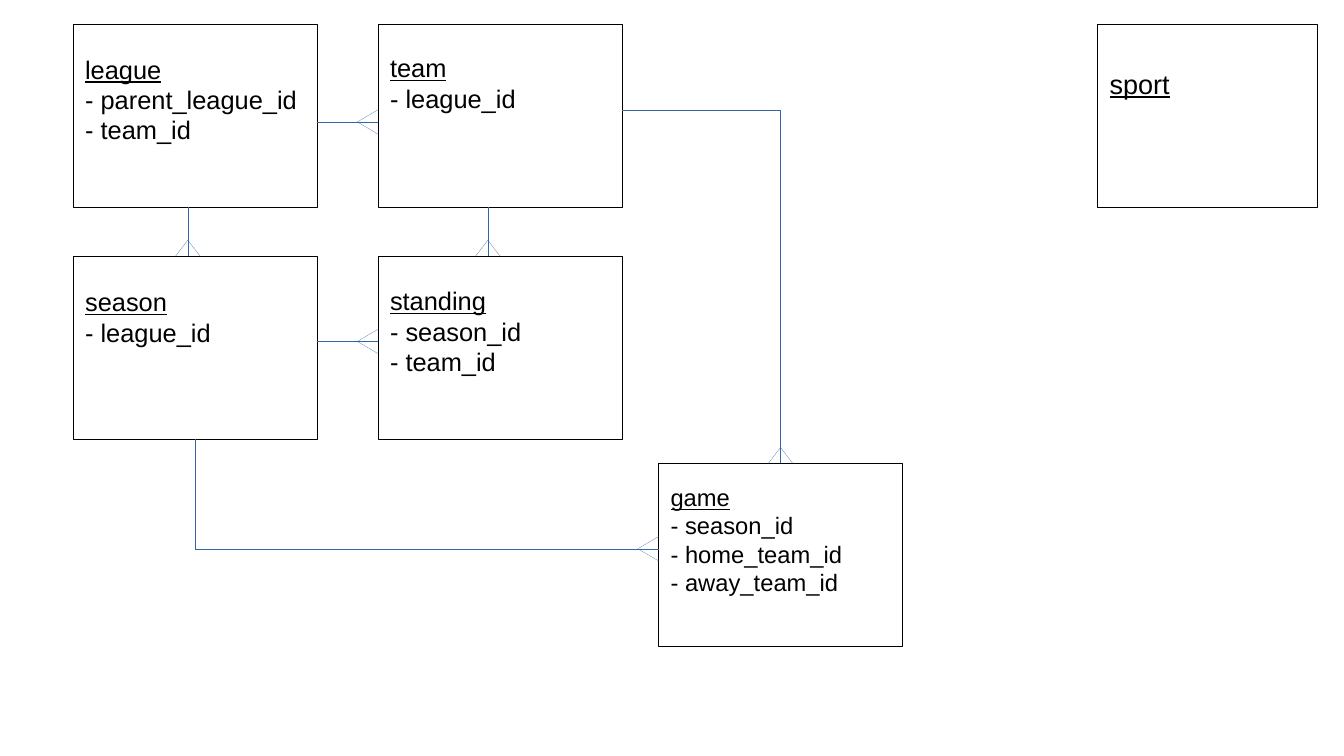
from pptx import Presentation
from pptx.dml.color import RGBColor
from pptx.enum.shapes import MSO_CONNECTOR, MSO_SHAPE
from pptx.enum.text import MSO_ANCHOR, PP_ALIGN
from pptx.oxml.ns import qn
from pptx.util import Inches, Pt
from lxml import etree

RECT = MSO_SHAPE.RECTANGLE
STRAIGHT = MSO_CONNECTOR.STRAIGHT
TOP = MSO_ANCHOR.TOP
LEFT = PP_ALIGN.LEFT
BLACK = RGBColor(0x00, 0x00, 0x00)
WHITE = RGBColor(0xFF, 0xFF, 0xFF)
BLUE = RGBColor(0x34, 0x65, 0xA4)
FONT = "Arial"
HEIGHT = 1.5
HAIR = Pt(0.1)

TABLES = [
    ("league", ["parent_league_id", "team_id"], 0.6, 0.2, 2, 15, 0.24),
    ("team", ["league_id"], 3.1, 0.2, 2, 15, 0.23),
    ("season", ["league_id"], 0.6, 2.1, 2, 15, 0.25),
    ("standing", ["season_id", "team_id"], 3.1, 2.1, 2, 15, 0.24),
    ("game", ["season_id", "home_team_id", "away_team_id"],
     5.4, 3.8, 2, 14, 0.16),
    ("sport", [], 9, 0.2, 1.8, 16, 0.35),
]


def add_table_box(slide, name, keys, left, top, width, size, inset):
    box = slide.shapes.add_shape(
        RECT, Inches(left), Inches(top), Inches(width), Inches(HEIGHT))
    box.shadow.inherit = False
    box.fill.solid()
    box.fill.fore_color.rgb = WHITE
    box.line.color.rgb = BLACK
    box.line.width = HAIR
    frame = box.text_frame
    frame.word_wrap = True
    frame.vertical_anchor = TOP
    frame.margin_left = frame.margin_right = Inches(0.1)
    frame.margin_top = Inches(inset)
    frame.margin_bottom = Inches(0.05)
    frame.text = "\n".join([name] + [f"- {key}" for key in keys])
    for row, para in enumerate(frame.paragraphs):
        para.alignment = LEFT
        for run in para.runs:
            run.font.name = FONT
            run.font.size = Pt(size)
            run.font.color.rgb = BLACK
            run.font.underline = row == 0
    return box


def add_line(slide, start, end):
    line = slide.shapes.add_connector(
        STRAIGHT, *(Inches(value) for value in (*start, *end)))
    line.line.color.rgb = BLUE
    line.line.width = HAIR
    etree.SubElement(line._element.spPr, qn("a:effectLst"))
    return line


def add_link(slide, start, end):
    line = add_line(slide, start, end)
    x, y = end
    if start[0] == x:
        tip = (x, y - 0.13)
        toes = [(x - 0.1, y), (x + 0.1, y)]
    else:
        tip = (x - 0.17, y)
        toes = [(x, y - 0.1), (x, y + 0.1)]
    for toe in toes:
        add_line(slide, tip, toe)
    return line


def main():
    deck = Presentation()
    deck.slide_width = Inches(11.02)
    deck.slide_height = Inches(6.2)
    slide = deck.slides.add_slide(deck.slide_layouts[6])
    boxes = {table[0]: add_table_box(slide, *table) for table in TABLES}

    add_link(slide, (2.6, 1), (3.1, 1))
    add_link(slide, (2.6, 2.8), (3.1, 2.8))
    add_link(slide, (1.54, 1.7), (1.54, 2.1))
    add_link(slide, (4, 1.7), (4, 2.1))

    add_line(slide, (5.1, 0.9), (6.4, 0.9))
    fall = add_link(slide, (6.4, 0.9), (6.4, 3.8))
    fall.end_connect(boxes["game"], 0)

    drop = add_line(slide, (1.6, 3.6), (1.6, 4.5))
    drop.begin_connect(boxes["season"], 2)
    add_link(slide, (1.6, 4.5), (5.4, 4.5))

    deck.save("out.pptx")


if __name__ == "__main__":
    main()
